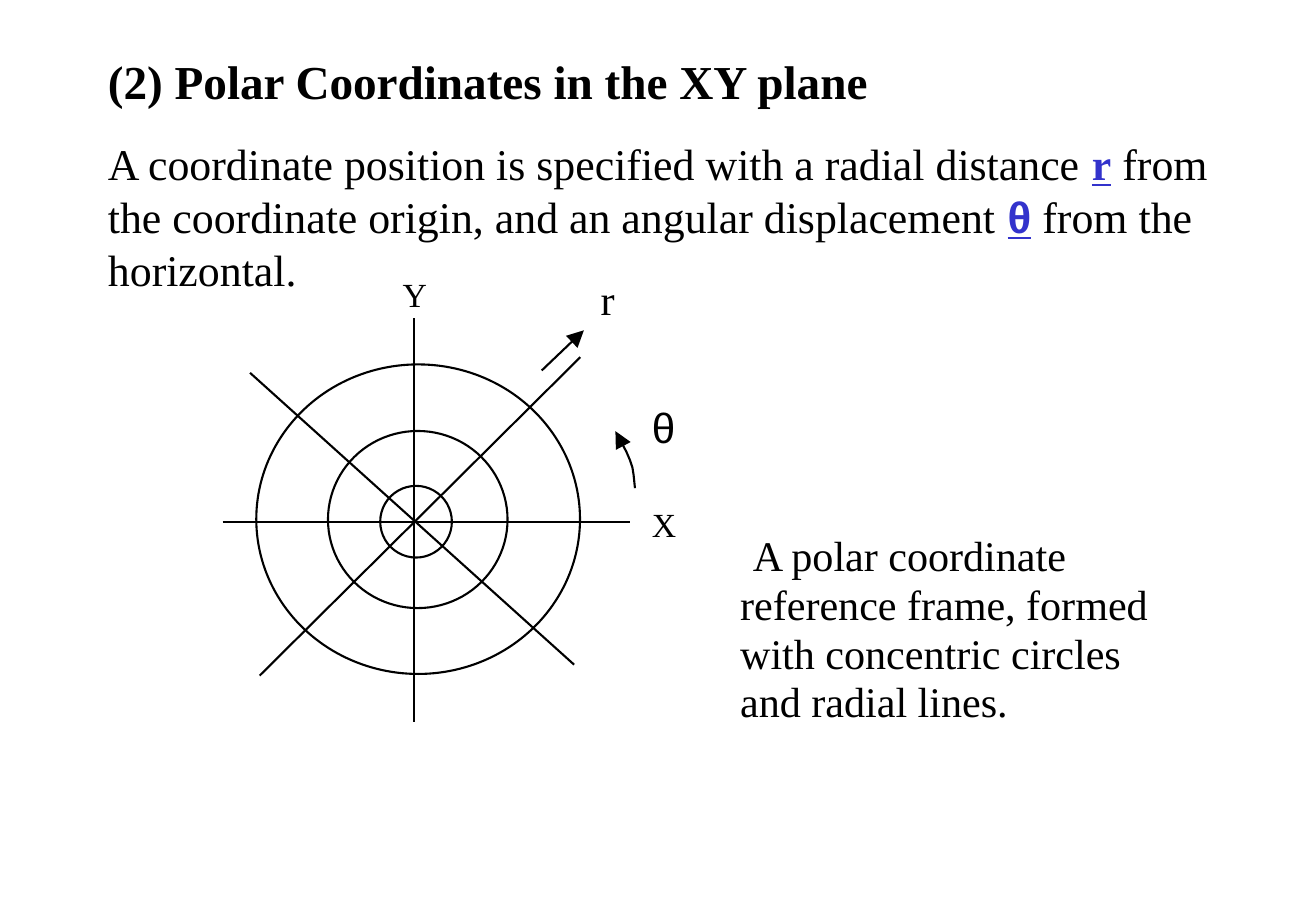
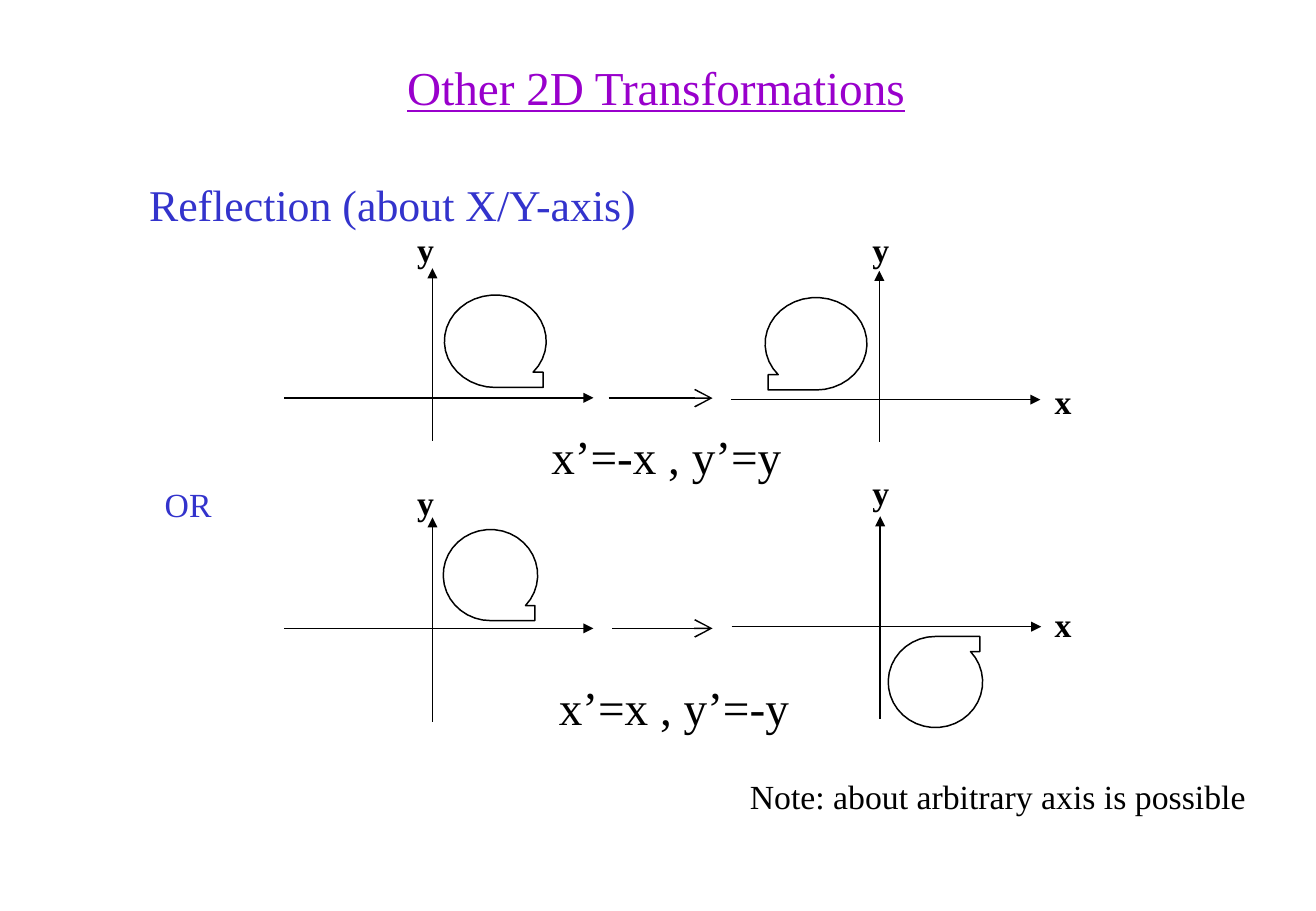
from math import cos, radians, sin

from lxml.etree import SubElement
from pptx import Presentation
from pptx.dml.color import RGBColor
from pptx.enum.shapes import MSO_CONNECTOR, MSO_SHAPE
from pptx.enum.text import MSO_ANCHOR, MSO_AUTO_SIZE, PP_ALIGN
from pptx.oxml.ns import qn
from pptx.util import Pt

BLACK = RGBColor(0x00, 0x00, 0x00)
WHITE = RGBColor(0xFF, 0xFF, 0xFF)
BLUE = RGBColor(0x33, 0x33, 0xCC)
PURPLE = RGBColor(0x99, 0x00, 0xCC)
SERIF, SANS = "Times New Roman", "Arial"
LINE_SPACING = 1.2
POLAR_LINE, AXIS_LINE = 1.25, 0.88

# Polar slide
POLAR_LEFT, POLAR_WIDTH = 64, 662
POLAR_TITLE = "(2) Polar Coordinates in the XY plane"
POLAR_BODY = [
    ("A coordinate position is specified with a radial distance ", None),
    ("r", SERIF),
    (" from the coordinate origin, and an angular displacement ", None),
    ("θ", SANS),
    (" from the horizontal.", None),
]  # (text, font of a highlighted symbol)
CAPTION = "A polar coordinate reference frame, formed with concentric circles and radial lines."
CIRCLES = [(152, 216, 192, 183.5), (194.5, 255.5, 106.5, 105), (225.5, 288, 42.5, 42.5)]
RADIAL_LINES = [
    (132, 309.5, 373.7, 309.5), (245.5, 188.6, 245.5, 427.7),
    (344.2, 211.7, 154, 400.5), (148.3, 221, 340.5, 394),
]
RADIUS_ARROW = (321.3, 219.6, 346.3, 195.8)
ANGLE_ARROW = [(376.6, 289.4), (375.8, 281.5), (375.1, 277.2), (373.7, 272.9),
               (371.5, 267.8), (365, 255.6)]
POLAR_LABELS = [  # text, centre, top, size, font
    ("X", 393.8, 298.7, 20, SERIF), ("Y", 246.1, 162.2, 20, SERIF),
    ("r", 360.3, 162.2, 25, SERIF), ("θ", 393.5, 238, 25, SANS),
]

# Reflection slide
REFLECTION_TITLE = "Other 2D Transformations"
REFLECTION_BODY = "Reflection (about X/Y-axis)"
AXIS_LEFT, AXIS_RIGHT = 88, 95.5
PLANES = [  # origin, top and bottom of the y axis
    (256.5, 235.8, 159, 261.4), (521.5, 236.9, 160.5, 262),
    (256.5, 372.5, 306.7, 427.7), (522, 371.5, 306, 426.2),
]
BALLOONS = [  # centre, radii, mirror factors
    (293.8, 202.3, 30.2, 27.4, 1, 1), (484, 203.8, 30.2, 27.4, -1, 1),
    (290.9, 340.9, 28, 27, 1, 1), (554.8, 404.3, 28, 27, 1, -1),
]
STEP_ARROWS = [(361, 236, 422.6, 236), (363, 372.5, 422.6, 372.5)]
AXIS_LABELS = [  # text, centre, top
    ("x", 630.4, 225.4), ("x", 630.4, 357.8), ("y", 522.4, 135.4),
    ("y", 522.4, 279.4), ("y", 252.4, 135.4), ("y", 252.4, 285.8),
]
REMARKS = [  # text, left, top, width, size, colour
    ("x’=-x , y’=y", 327, 253.4, 150, 28, BLACK),
    ("x’=x , y’=-y", 331.5, 401.8, 150, 28, BLACK),
    ("OR", 97.7, 286.6, 50, 20, BLUE),
    ("Note: about arbitrary axis is possible", 444.7, 459.8, 310, 20, BLACK),
]


def style_paragraph(paragraph, size, color=BLACK, name=SERIF, bold=False,
                    align=PP_ALIGN.LEFT, spacing=None, indent=0):
    properties = paragraph._p.get_or_add_pPr()
    properties.set("marL", "0")
    properties.set("indent", str(Pt(indent)))
    SubElement(properties, qn("a:buNone"))
    paragraph.alignment = align
    paragraph.space_before = Pt(0)
    paragraph.line_spacing = Pt(spacing or size * LINE_SPACING)
    font = paragraph.font
    font.size, font.name, font.bold = Pt(size), name, bold
    font.color.rgb = color


def place_text(shape, left, top, width, height):
    """Move a text shape and give it a plain frame without insets."""
    shape.left, shape.top, shape.width, shape.height = map(Pt, (left, top, width, height))
    frame = shape.text_frame
    frame.word_wrap = True
    frame.auto_size = MSO_AUTO_SIZE.NONE
    frame.vertical_anchor = MSO_ANCHOR.TOP
    frame.margin_left = frame.margin_right = frame.margin_top = frame.margin_bottom = 0
    return frame.paragraphs[0]


def add_text(slide, text, left, top, width, size, color=BLACK, lines=1, **style):
    box = slide.shapes.add_textbox(0, 0, 0, 0)
    paragraph = place_text(box, left, top, width, lines * size * LINE_SPACING)
    paragraph.text = text
    style_paragraph(paragraph, size, color, **style)


def add_label(slide, text, centre, top, size, width=40, **style):
    add_text(slide, text, centre - width / 2, top, width, size,
             align=PP_ALIGN.CENTER, **style)


def add_title(slide, text, left, top, width, **style):
    paragraph = place_text(slide.shapes.title, left, top, width, 34)
    paragraph.text = text
    style_paragraph(paragraph, 28, **style)
    return paragraph


def set_line(shape, weight, head=None):
    shape.line.color.rgb = BLACK
    shape.line.width = Pt(weight)
    if head:
        kind, head_size = head
        SubElement(shape.line._get_or_add_ln(), qn("a:tailEnd"),
                   type=kind, w=head_size, len=head_size)


def add_line(slide, ends, weight, head=None):
    line = slide.shapes.add_connector(MSO_CONNECTOR.STRAIGHT, *map(Pt, ends))
    set_line(line, weight, head)
    SubElement(line._element.spPr, qn("a:effectLst"))


def add_outline(slide, points, weight, closed=True, head=None):
    start, *others = [(Pt(x), Pt(y)) for x, y in points]
    builder = slide.shapes.build_freeform(*start)
    builder.add_line_segments(others, close=closed)
    shape = builder.convert_to_shape()
    shape.shadow.inherit = False
    if closed:
        shape.fill.solid()
        shape.fill.fore_color.rgb = WHITE
    else:
        shape.fill.background()
    set_line(shape, weight, head)


def balloon_points(centre_x, centre_y, radius_x, radius_y, mirror_x, mirror_y):
    """Ellipse that opens at lower right into a short square tail."""
    notch, steps = 42, 32
    sweep = 360 - (90 - notch)
    angles = [radians(notch - sweep * step / steps) for step in range(steps + 1)]
    unit = [(cos(angle), sin(angle)) for angle in angles]
    unit += [(0.94, 1), (0.94, sin(radians(notch)))]
    return [(centre_x + mirror_x * radius_x * x, centre_y + mirror_y * radius_y * y)
            for x, y in unit]


def build_polar(slide):
    add_title(slide, POLAR_TITLE, POLAR_LEFT, 31, POLAR_WIDTH, bold=True)
    paragraph = place_text(slide.placeholders[1], POLAR_LEFT, 80.5, POLAR_WIDTH, 96)
    style_paragraph(paragraph, 26, spacing=31.4)
    for text, symbol_font in POLAR_BODY:
        run = paragraph.add_run()
        run.text = text
        if symbol_font:
            run.font.name = symbol_font
            run.font.bold = run.font.underline = True
            run.font.color.rgb = BLUE
    for bounds in CIRCLES:
        circle = slide.shapes.add_shape(MSO_SHAPE.OVAL, *map(Pt, bounds))
        circle.shadow.inherit = False
        circle.fill.solid()
        circle.fill.fore_color.rgb = WHITE
        set_line(circle, POLAR_LINE)
    for ends in RADIAL_LINES:
        add_line(slide, ends, POLAR_LINE)
    add_line(slide, RADIUS_ARROW, POLAR_LINE, ("triangle", "lg"))
    add_outline(slide, ANGLE_ARROW, POLAR_LINE, closed=False, head=("triangle", "lg"))
    for text, centre, top, size, name in POLAR_LABELS:
        add_label(slide, text, centre, top, size, name=name)
    add_text(slide, CAPTION, 439, 315.2, 248, 25, lines=4, spacing=28.8, indent=7.5)


def build_reflection(slide):
    title = add_title(slide, REFLECTION_TITLE, 241.5, 34.6, 310, color=PURPLE)
    title.font.underline = True
    paragraph = place_text(slide.placeholders[1], 88.4, 105, 310, 32)
    paragraph.text = REFLECTION_BODY
    style_paragraph(paragraph, 26, BLUE)
    for x, y, top, bottom in PLANES:
        add_line(slide, (x, bottom, x, top), AXIS_LINE, ("triangle", "med"))
        add_line(slide, (x - AXIS_LEFT, y, x + AXIS_RIGHT, y), AXIS_LINE,
                 ("triangle", "med"))
    for balloon in BALLOONS:
        add_outline(slide, balloon_points(*balloon), AXIS_LINE)
    for ends in STEP_ARROWS:
        add_line(slide, ends, AXIS_LINE, ("arrow", "lg"))
    for text, centre, top in AXIS_LABELS:
        add_label(slide, text, centre, top, 20, bold=True)
    for remark in REMARKS:
        add_text(slide, *remark)


def main():
    presentation = Presentation()
    presentation.slide_width, presentation.slide_height = Pt(780.48), Pt(540)
    layout = presentation.slide_layouts.get_by_name("Title and Content")
    for build in (build_polar, build_reflection):
        build(presentation.slides.add_slide(layout))
    presentation.save("out.pptx")


if __name__ == "__main__":
    main()
